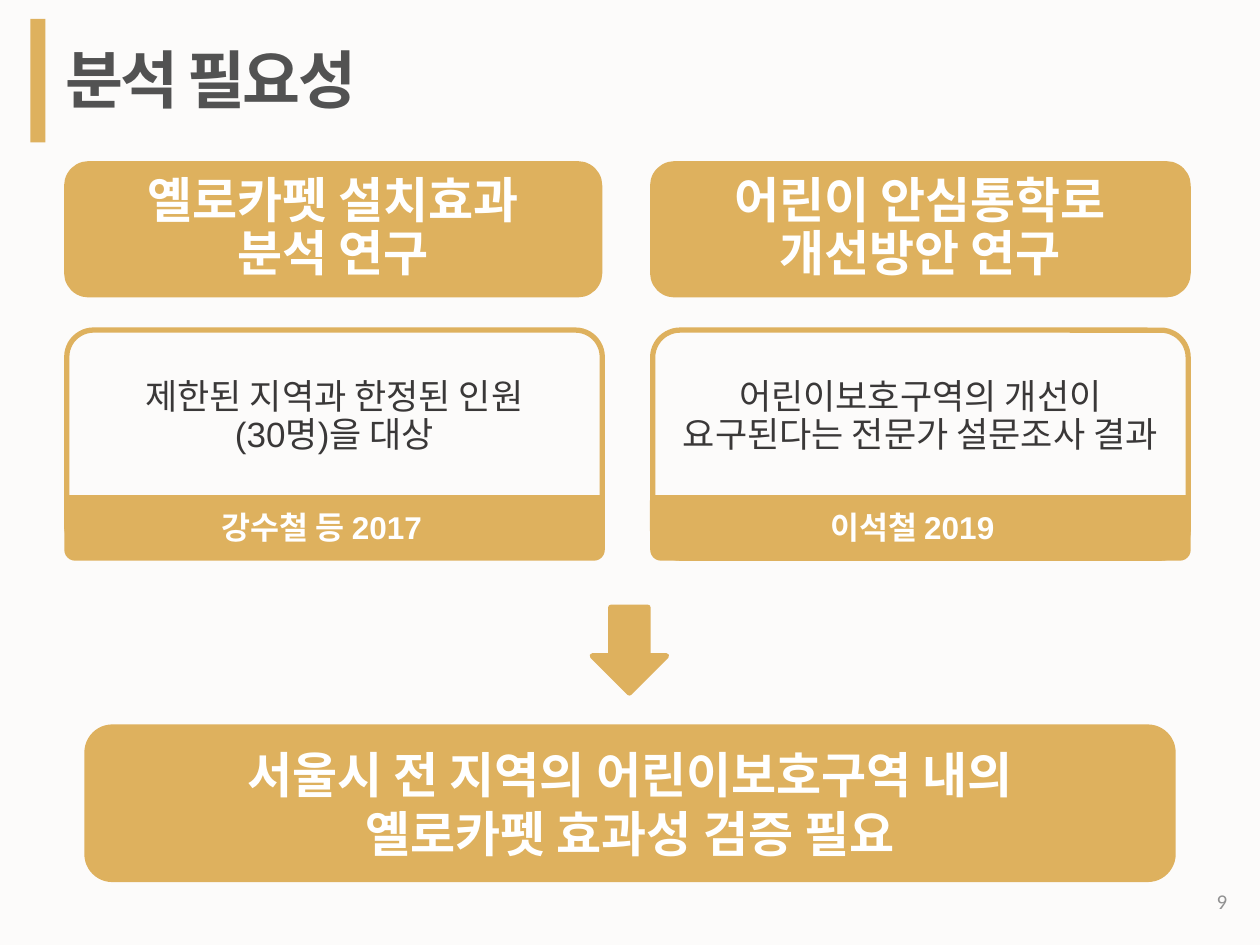
from dataclasses import dataclass

from pptx import Presentation
from pptx.dml.color import RGBColor
from pptx.enum.shapes import MSO_SHAPE
from pptx.enum.text import MSO_ANCHOR, PP_ALIGN
from pptx.util import Inches, Pt

RECTANGLE = MSO_SHAPE.RECTANGLE
ROUNDED = MSO_SHAPE.ROUNDED_RECTANGLE
ROUNDED_TOP = MSO_SHAPE.ROUND_2_SAME_RECTANGLE
DOWN_ARROW = MSO_SHAPE.DOWN_ARROW
TOP, MIDDLE = MSO_ANCHOR.TOP, MSO_ANCHOR.MIDDLE
LEFT, CENTER, RIGHT = PP_ALIGN.LEFT, PP_ALIGN.CENTER, PP_ALIGN.RIGHT

GOLD = "DEB15E"
WHITE = "FFFFFF"
BACKGROUND = "FCFBFA"
TITLE_GRAY = "525252"
BODY_GRAY = "3A3838"
NUMBER_GRAY = "919191"


@dataclass(frozen=True)
class Box:
    left: float
    top: float
    width: float
    height: float

    def lengths(self):
        return [Inches(value) for value in (self.left, self.top, self.width, self.height)]


@dataclass(frozen=True)
class TextStyle:
    size: float
    color: str
    bold: bool = False
    font: str = "Arial"
    align: PP_ALIGN = CENTER
    anchor: MSO_ANCHOR = TOP
    line_spacing: float = 1.0
    tracking: int = 0


@dataclass(frozen=True)
class Study:
    left: float
    heading_width: float
    heading: tuple[str, ...]
    body_height: float
    body: tuple[str, ...]
    label_width: float
    label: str


TITLE = TextStyle(36, TITLE_GRAY, True, align=LEFT, tracking=-150)
HEADING = TextStyle(28, WHITE, True, line_spacing=0.9)
BODY = TextStyle(20, BODY_GRAY, line_spacing=0.9)
LABEL = TextStyle(18, WHITE, True, align=LEFT)
CONCLUSION = TextStyle(28, WHITE, True, anchor=MIDDLE)
NUMBER = TextStyle(12, NUMBER_GRAY, font="Calibri", align=RIGHT, anchor=MIDDLE)

BODY_WIDTH = 4.25
TAB_WIDTH = 4.29

STUDIES = (
    Study(0.53, 4.23, ("옐로카펫 설치효과", "분석 연구"),
          1.77, ("제한된 지역과 한정된 인원", "(30명)을 대상"),
          1.99, "강수철 등 2017"),
    Study(5.18, 4.25, ("어린이 안심통학로", "개선방안 연구"),
          1.81, ("어린이보호구역의 개선이 요구된다는 전문가 설문조사 결과",),
          1.63, "이석철 2019"),
)


def set_fill(fill, color: str) -> None:
    fill.solid()
    fill.fore_color.rgb = RGBColor.from_string(color)


def write(shape, lines: tuple[str, ...], style: TextStyle, wrap: bool = True) -> None:
    frame = shape.text_frame
    frame.word_wrap = wrap
    frame.vertical_anchor = style.anchor
    for index, line in enumerate(lines):
        paragraph = frame.add_paragraph() if index else frame.paragraphs[0]
        paragraph.alignment = style.align
        paragraph.line_spacing = style.line_spacing
        run = paragraph.add_run()
        run.text = line
        run.font.name = style.font
        run.font.size = Pt(style.size)
        run.font.bold = style.bold
        run.font.color.rgb = RGBColor.from_string(style.color)
        if style.tracking:
            run.font._element.set("spc", str(style.tracking))


def add_text(slide, box: Box, text: str, style: TextStyle, wrap: bool = False) -> None:
    write(slide.shapes.add_textbox(*box.lengths()), (text,), style, wrap)


def add_block(slide, kind: MSO_SHAPE, box: Box, filled: bool = True, outlined: bool = True):
    shape = slide.shapes.add_shape(kind, *box.lengths())
    shape.shadow.inherit = False
    if filled:
        set_fill(shape.fill, GOLD)
    else:
        shape.fill.background()
    if outlined:
        set_fill(shape.line.fill, GOLD)
        shape.line.width = Pt(3)
    else:
        shape.line.fill.background()
    return shape


def add_study(slide, study: Study) -> None:
    heading = add_block(slide, ROUNDED, Box(study.left, 1.3, study.heading_width, 1.04))
    write(heading, study.heading, HEADING)

    body = add_block(slide, ROUNDED, Box(study.left, 2.62, BODY_WIDTH, study.body_height), filled=False)
    body.adjustments[0] = 0.12
    body.text_frame.margin_top = Inches(0.33)
    write(body, study.body, BODY)

    center = study.left + BODY_WIDTH / 2
    tab = add_block(slide, ROUNDED_TOP, Box(center - TAB_WIDTH / 2, 3.93, TAB_WIDTH, 0.52), outlined=False)
    tab.rotation = 180
    label_box = Box(center - study.label_width / 2, 3.98, study.label_width, 0.4)
    add_text(slide, label_box, study.label, LABEL)


def main() -> None:
    presentation = Presentation()
    presentation.slide_width = Inches(10)
    presentation.slide_height = Inches(7.5)
    slide = presentation.slides.add_slide(presentation.slide_layouts[6])
    set_fill(slide.background.fill, BACKGROUND)

    add_block(slide, RECTANGLE, Box(0.24, 0.15, 0.12, 0.98), outlined=False)
    add_text(slide, Box(0.42, 0.27, 2.78, 0.71), "분석 필요성", TITLE)
    for study in STUDIES:
        add_study(slide, study)
    add_block(slide, DOWN_ARROW, Box(4.7, 4.82, 0.59, 0.68))
    conclusion = add_block(slide, ROUNDED, Box(0.69, 5.77, 8.62, 1.21))
    write(conclusion, ("서울시 전 지역의 어린이보호구역 내의", "옐로카펫 효과성 검증 필요"), CONCLUSION)
    add_text(slide, Box(9.31, 6.95, 0.53, 0.4), "9", NUMBER, wrap=True)

    presentation.save("out.pptx")


if __name__ == "__main__":
    main()
